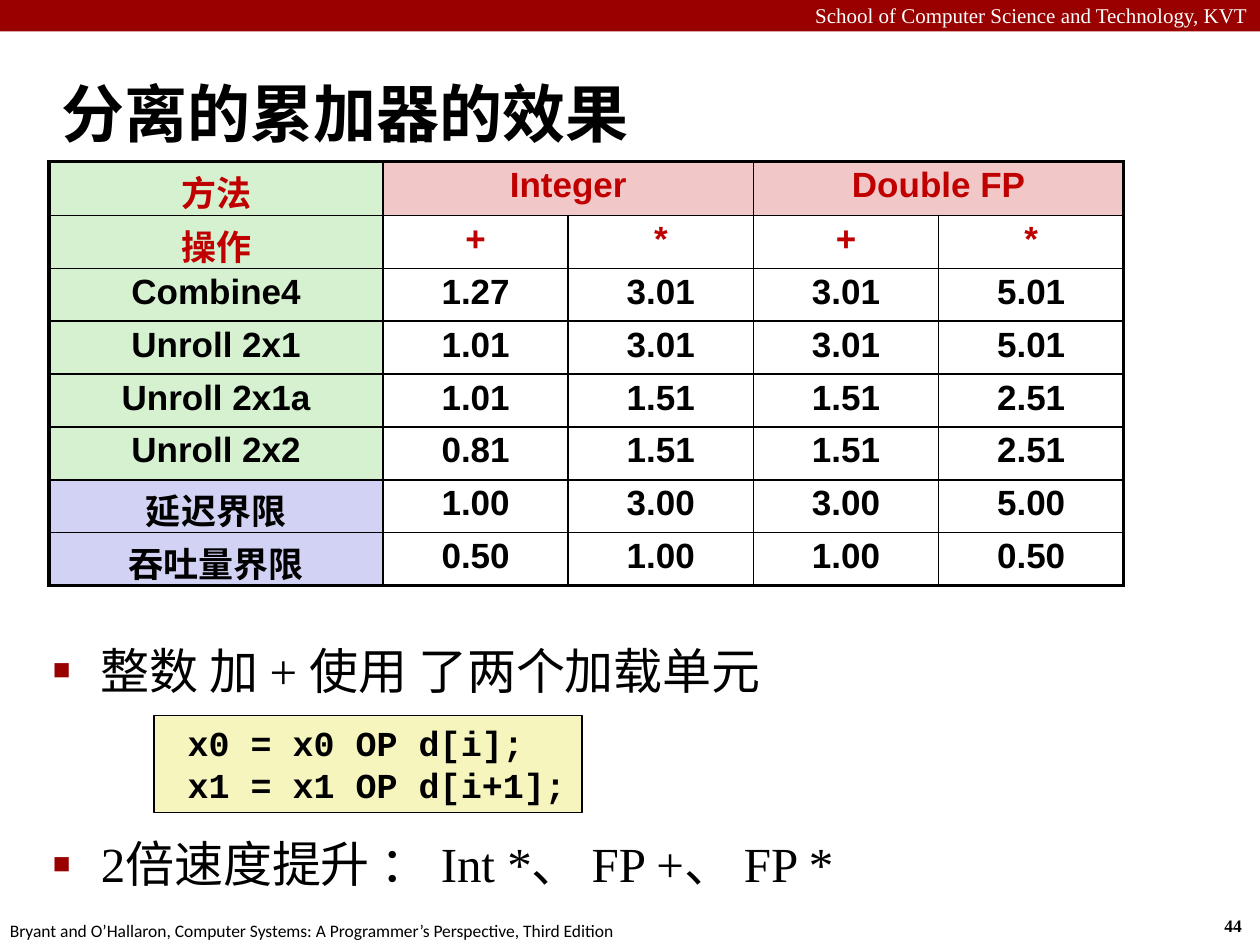
from lxml import etree
from pptx import Presentation
from pptx.dml.color import RGBColor
from pptx.enum.shapes import MSO_SHAPE
from pptx.enum.text import MSO_ANCHOR, MSO_AUTO_SIZE, PP_ALIGN
from pptx.oxml.ns import qn
from pptx.util import Inches, Pt

LEFT, CENTER, RIGHT = PP_ALIGN.LEFT, PP_ALIGN.CENTER, PP_ALIGN.RIGHT
TOP, MIDDLE = MSO_ANCHOR.TOP, MSO_ANCHOR.MIDDLE
RECTANGLE, NO_FIT = MSO_SHAPE.RECTANGLE, MSO_AUTO_SIZE.NONE

BLACK = RGBColor(0x00, 0x00, 0x00)
WHITE = RGBColor(0xFF, 0xFF, 0xFF)
DARK_RED = RGBColor(0x99, 0x00, 0x00)
HEAD_RED = RGBColor(0xC0, 0x00, 0x00)
GREEN = RGBColor(0xD5, 0xF1, 0xCF)
PINK = RGBColor(0xF1, 0xC7, 0xC7)
LILAC = RGBColor(0xD2, 0xD2, 0xF4)
CREAM = RGBColor(0xF6, 0xF5, 0xBD)

SERIF = "Times New Roman"
THIN, THICK = 1, 2.25

HEADER = ["方法", "Integer", "", "Double FP", ""]
ROWS = [
    HEADER,
    ["操作", "+", "*", "+", "*"],
    ["Combine4", "1.27", "3.01", "3.01", "5.01"],
    ["Unroll 2x1", "1.01", "3.01", "3.01", "5.01"],
    ["Unroll 2x1a", "1.01", "1.51", "1.51", "2.51"],
    ["Unroll 2x2", "0.81", "1.51", "1.51", "2.51"],
    ["延迟界限", "1.00", "3.00", "3.00", "5.00"],
    ["吞吐量界限", "0.50", "1.00", "1.00", "0.50"],
]
COLUMN_WIDTHS = [2.65] + [1.47] * 4
ROW_HEIGHTS = [0.43] + [0.42] * 7


def set_all(target, values):
    """Set each attribute named in a dict of values."""
    for name, value in values.items():
        setattr(target, name, value)


def add_child(parent, tag, **attributes):
    """Append one DrawingML element."""
    child = etree.SubElement(parent, qn(tag))
    for name, value in attributes.items():
        child.set(name, str(value))
    return child


def set_indent(para, left, first):
    """Set the left margin and first-line indent in inches."""
    properties = para._p.get_or_add_pPr()
    properties.set("marL", str(Inches(left)))
    properties.set("indent", str(Inches(first)))
    return properties


def add_bullet(para):
    """Give a paragraph a small red square bullet."""
    properties = set_indent(para, 0.38, -0.38)
    color = add_child(properties, "a:buClr")
    add_child(color, "a:srgbClr", val=DARK_RED)
    add_child(properties, "a:buSzPct", val=60000)
    add_child(properties, "a:buFont", typeface="Arial")
    add_child(properties, "a:buChar", char="■")


def add_borders(cell, widths):
    """Draw black borders on a cell, with widths in points by side."""
    properties = cell._tc.get_or_add_tcPr()
    for place, (side, width) in enumerate(widths.items()):
        line = etree.Element(qn(f"a:ln{side}"), w=str(int(Pt(width))))
        fill = add_child(line, "a:solidFill")
        add_child(fill, "a:srgbClr", val=BLACK)
        properties.insert(place, line)


def cell_fill(row, column):
    """Return the fill color for a table position."""
    if column == 0:
        return GREEN if row < 6 else LILAC
    return PINK if row == 0 else WHITE


class SlideBuilder:
    """Holds the current page and the text style shared by its parts."""

    def __init__(self, page):
        """Keep the page and the default font values."""
        self.page = page
        self.style = {"name": SERIF, "size": Pt(20), "bold": False}

    def fill_text(self, frame, lines, align=LEFT, color=BLACK, **font):
        """Fill a text frame with one paragraph for each line."""
        for index, line in enumerate(lines):
            para = frame.paragraphs[0] if index == 0 else frame.add_paragraph()
            para.alignment = align
            span = para.add_run()
            span.text = line
            set_all(span.font, {**self.style, **font})
            span.font.color.rgb = color
        return frame.paragraphs

    def placeholder(self, index, area, lines, anchor=TOP, **font):
        """Move a template placeholder and fill it."""
        box = self.page.placeholders[index]
        set_all(box, dict(zip(("left", "top", "width", "height"), map(Inches, area))))
        set_all(box.text_frame, {"auto_size": NO_FIT, "vertical_anchor": anchor,
                                 "word_wrap": True})
        return self.fill_text(box.text_frame, lines, **font)

    def text(self, area, line, wrap=False, **font):
        """Add a one-line text box."""
        box = self.page.shapes.add_textbox(*map(Inches, area))
        box.text_frame.word_wrap = wrap
        self.fill_text(box.text_frame, [line], **font)

    def rectangle(self, area, fill, outline=None):
        """Add a flat rectangle, with an optional thin outline."""
        box = self.page.shapes.add_shape(RECTANGLE, *map(Inches, area))
        box.shadow.inherit = False
        box.fill.solid()
        box.fill.fore_color.rgb = fill
        if outline is None:
            box.line.fill.background()
        else:
            box.line.color.rgb = outline
            box.line.width = Pt(THIN)
        return box

    def code(self, area, lines):
        """Add a framed block of code."""
        frame = self.rectangle(area, CREAM, BLACK).text_frame
        set_all(frame, {"word_wrap": False, "vertical_anchor": TOP})
        for para in self.fill_text(frame, lines, name="Courier New", bold=True):
            set_indent(para, 0.17, 0)

    def table(self, left, top):
        """Add the table of measurements."""
        last_row, last_column = len(ROWS) - 1, len(COLUMN_WIDTHS) - 1
        area = (left, top, sum(COLUMN_WIDTHS), sum(ROW_HEIGHTS))
        table = self.page.shapes.add_table(
            len(ROWS), len(COLUMN_WIDTHS), *map(Inches, area)).table
        for column, width in zip(table.columns, COLUMN_WIDTHS):
            column.width = Inches(width)
        for row, height in zip(table.rows, ROW_HEIGHTS):
            row.height = Inches(height)
        for first in (1, 3):
            table.cell(0, first).merge(table.cell(0, first + 1))
        margins = {f"margin_{side}": Inches(0.05)
                   for side in ("left", "top", "right", "bottom")}
        for row, values in enumerate(ROWS):
            for column, value in enumerate(values):
                cell = table.cell(row, column)
                set_all(cell, margins)
                cell.fill.solid()
                cell.fill.fore_color.rgb = cell_fill(row, column)
                add_borders(cell, {
                    "L": THICK if column == 0 else THIN,
                    "R": THICK if column == last_column
                    or (row == 0 and column == 3) else THIN,
                    "T": THICK if row == 0 else THIN,
                    "B": THICK if row == last_row else THIN,
                })
                if value:
                    paras = self.fill_text(
                        cell.text_frame, [value], align=CENTER, name="Arial",
                        bold=True, color=HEAD_RED if row < 2 else BLACK)
                    paras[0].line_spacing = 0.95


def main():
    """Build the slide and save the deck."""
    deck = Presentation()
    set_all(deck, {"slide_width": Inches(10), "slide_height": Inches(7.5)})
    builder = SlideBuilder(deck.slides.add_slide(deck.slide_layouts[1]))

    builder.rectangle((0, 0, 10, 0.25), DARK_RED)
    builder.text((0, -0.03, 10, 0.3), "School of Computer Science and Technology, KVT",
                 wrap=True, align=RIGHT, color=WHITE, size=Pt(12))
    builder.text((9.62, 7.21, 0.37, 0.27), "44", size=Pt(10), bold=True)
    builder.text((-0.02, 7.25, 5.08, 0.27),
                 "Bryant and O’Hallaron, Computer Systems: "
                 "A Programmer’s Perspective, Third Edition",
                 name="Calibri", size=Pt(10))

    title = builder.placeholder(0, (0.39, 0.48, 9.61, 0.83), ["分离的累加器的效果"],
                                anchor=MIDDLE, name="Calibri", size=Pt(36), bold=True)
    set_indent(title[0], 0.13, -0.13)
    points = builder.placeholder(
        1, (0.32, 5.03, 9.09, 2.3),
        ["整数 加 + 使用 了两个加载单元", "2倍速度提升 ： Int *、 FP +、 FP *"], size=Pt(28))
    for para, gap in zip(points, (0, 77)):
        para.space_before = Pt(gap)
        add_bullet(para)
    builder.code((1.22, 5.68, 3.4, 0.77), ["x0 = x0 OP d[i];", "x1 = x1 OP d[i+1];"])
    builder.table(0.39, 1.28)
    deck.save("out.pptx")


main()
